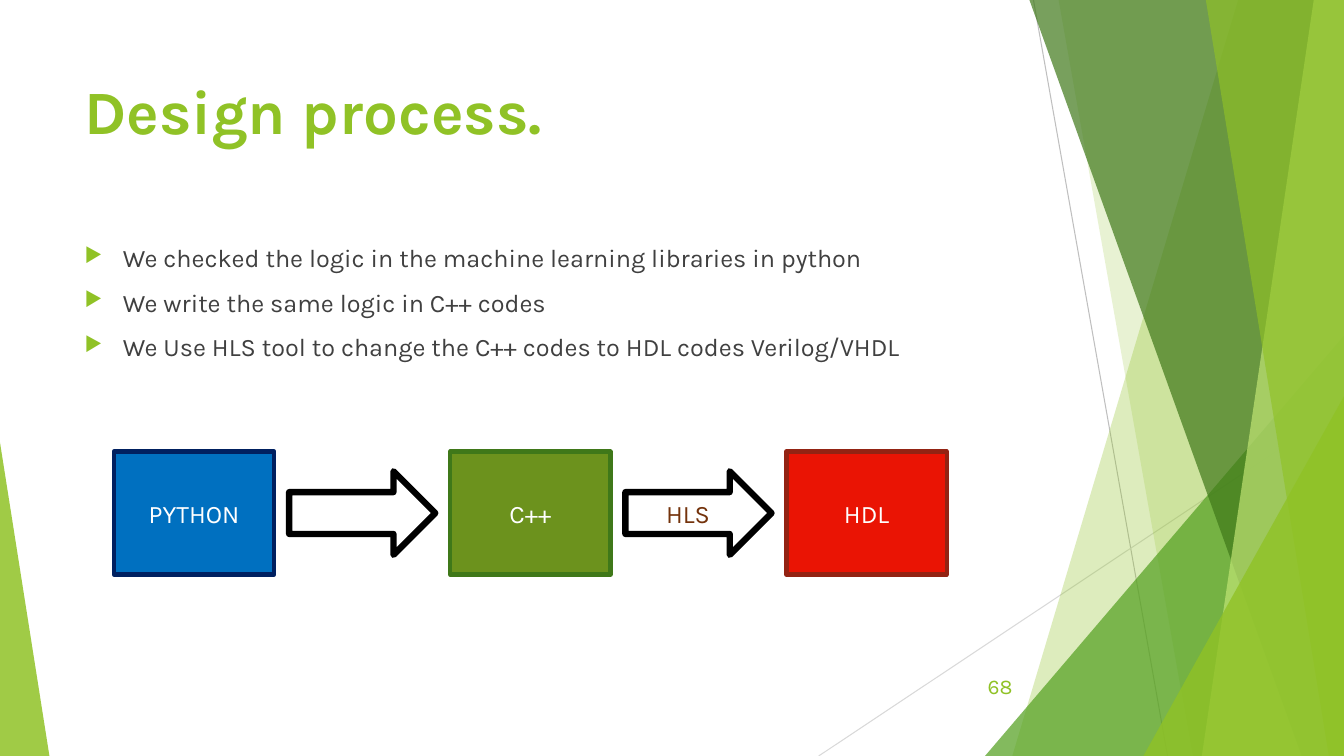
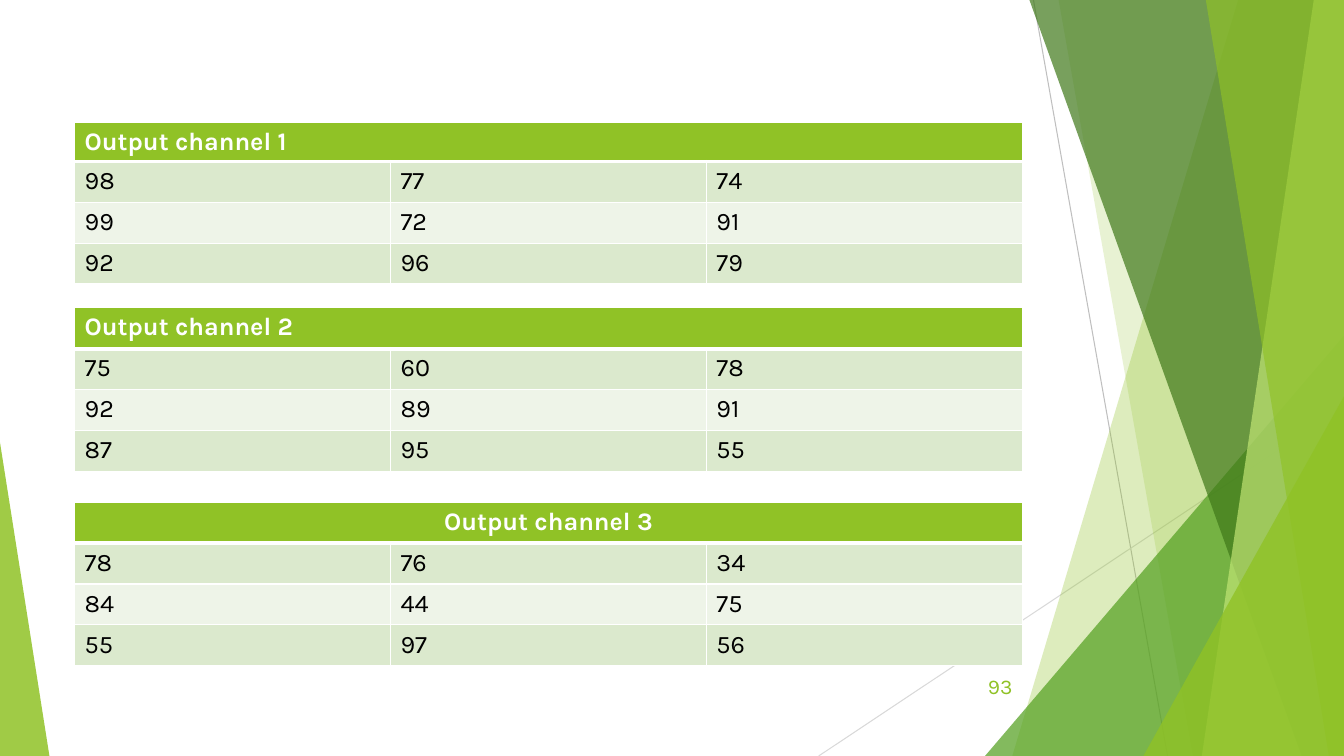
from lxml.etree import SubElement
from pptx import Presentation
from pptx.dml.color import RGBColor
from pptx.enum.shapes import MSO_CONNECTOR, MSO_SHAPE
from pptx.enum.text import MSO_ANCHOR, PP_ALIGN
from pptx.oxml.ns import qn
from pptx.util import Inches, Pt

# Shared look
FONT = "Karla"
GREEN = RGBColor(0x90, 0xC2, 0x26)
MID_GREEN = RGBColor(0x54, 0xA0, 0x21)
DARK_GREEN = RGBColor(0x3F, 0x78, 0x19)
PALE_GREEN = RGBColor(0xC0, 0xE4, 0x74)
OLIVE = RGBColor(0x6C, 0x92, 0x1D)
BLUE = RGBColor(0x00, 0x70, 0xC0)
NAVY = RGBColor(0x00, 0x20, 0x60)
RED = RGBColor(0xEA, 0x14, 0x04)
DARK_RED = RGBColor(0x93, 0x23, 0x13)
BROWN = RGBColor(0x74, 0x33, 0x0C)
BODY_GREY = RGBColor(0x40, 0x40, 0x40)
LINE_GREY = RGBColor(0xBF, 0xBF, 0xBF)
LIGHT_LINE_GREY = RGBColor(0xD9, 0xD9, 0xD9)
BAND_DARK = RGBColor(0xDB, 0xE9, 0xCD)
BAND_LIGHT = RGBColor(0xEE, 0xF4, 0xE8)
WHITE = RGBColor(0xFF, 0xFF, 0xFF)
BLACK = RGBColor(0x00, 0x00, 0x00)

WIDTH, HEIGHT = 13.33, 7.5
LEFT, CONTENT_WIDTH = 0.74, 9.4

TITLE_STYLE = {"size": Pt(44), "bold": True, "color": GREEN}
BODY_STYLE = {"size": Pt(18), "color": BODY_GREY}
NUMBER_STYLE = {"size": Pt(15), "color": GREEN}
BOX_STYLE = {"size": Pt(18), "color": WHITE}
ARROW_STYLE = {"size": Pt(18), "color": BROWN}
HEADER_STYLE = {"size": Pt(18), "bold": True, "color": WHITE}
CELL_STYLE = {"size": Pt(18), "bold": False, "color": BLACK}

# Background: thin lines, then facets from back to front
THIN_LINES = [
    ((10.25, 0), (11.58, HEIGHT), LINE_GREY),
    ((WIDTH, 4.03), (8.12, HEIGHT), LIGHT_LINE_GREY),
]
# A band runs from its slanted left edge (top x, bottom x) to the right edge;
# a triangle has (left, top, width, apex) and stands on the bottom edge.
FACETS = [
    ("band", (12.28, 10.04), GREEN, 30),
    ("band", (10.5, 11.83), GREEN, 20),
    ("triangle", (9.77, 3.33, 3.56, 1), MID_GREEN, 72),
    ("band", (10.21, 12.91), DARK_GREEN, 70),
    ("band", (13.03, 11.92), PALE_GREEN, 70),
    ("band", (11.96, 13.18), GREEN, 65),
    ("triangle", (11.34, 3.93, 1.99, 1), GREEN, 80),
    ("triangle", (0, 4.39, 0.49, 0), GREEN, 85),
]

# Content of the design process slide
TITLE = "Design process."
BULLETS = [
    "We checked the logic in the machine learning libraries in python",
    "We write the same logic in C++ codes",
    "We Use HLS tool to change the C++ codes to HDL codes Verilog/VHDL",
]
STAGES = [("PYTHON", BLUE, NAVY), ("C++", OLIVE, DARK_GREEN), ("HDL", RED, DARK_RED)]
ARROW_LABELS = ["", "HLS"]

# Content of the output slide: heading, alignment, top, header height, values
CHANNELS = [
    ("Output channel 1", PP_ALIGN.LEFT, 1.21, 0.36,
     [(98, 77, 74), (99, 72, 91), (92, 96, 79)]),
    ("Output channel 2", PP_ALIGN.LEFT, 3.05, 0.41,
     [(75, 60, 78), (92, 89, 91), (87, 95, 55)]),
    ("Output channel 3", PP_ALIGN.CENTER, 4.98, 0.41,
     [(78, 76, 34), (84, 44, 75), (55, 97, 56)]),
]


def write(paragraph, text, style, align=PP_ALIGN.LEFT):
    paragraph.text = text
    paragraph.alignment = align
    font = paragraph.font
    font.name = FONT
    for name, value in style.items():
        if name == "color":
            font.color.rgb = value
        else:
            setattr(font, name, value)


def add_text_box(slide, left, top, width, height, anchor=MSO_ANCHOR.TOP):
    box = slide.shapes.add_textbox(*map(Inches, (left, top, width, height)))
    box.text_frame.word_wrap = True
    box.text_frame.vertical_anchor = anchor
    return box.text_frame


def paint(shape, fill, line=None, line_width=0, opacity=100):
    shape.shadow.inherit = False
    shape.fill.solid()
    shape.fill.fore_color.rgb = fill
    if opacity < 100:
        color = shape._element.spPr.find(qn("a:solidFill"))[0]
        SubElement(color, qn("a:alpha"), val=str(opacity * 1000))
    if line is None:
        shape.line.fill.background()
    else:
        shape.line.color.rgb = line
        shape.line.width = Pt(line_width)


def add_band(slide, top_x, bottom_x):
    corners = [(WIDTH, 0), (WIDTH, HEIGHT), (bottom_x, HEIGHT)]
    builder = slide.shapes.build_freeform(Inches(top_x), 0)
    builder.add_line_segments([(Inches(x), Inches(y)) for x, y in corners])
    return builder.convert_to_shape()


def add_triangle(slide, left, top, width, apex):
    triangle = slide.shapes.add_shape(
        MSO_SHAPE.ISOSCELES_TRIANGLE, *map(Inches, (left, top, width, HEIGHT - top)))
    triangle.adjustments[0] = apex
    return triangle


def add_base_slide(presentation):
    slide = presentation.slides.add_slide(presentation.slide_layouts[6])
    for start, end, color in THIN_LINES:
        line = slide.shapes.add_connector(
            MSO_CONNECTOR.STRAIGHT, *map(Inches, start + end))
        line.line.color.rgb = color
        line.line.width = Pt(0.75)
        SubElement(line._element.spPr, qn("a:effectLst"))
    makers = {"band": add_band, "triangle": add_triangle}
    for kind, geometry, color, opacity in FACETS:
        paint(makers[kind](slide, *geometry), color, opacity=opacity)
    return slide


def add_number(slide, number):
    frame = add_text_box(slide, 9.39, 6.61, 0.75, 0.4, MSO_ANCHOR.MIDDLE)
    write(frame.paragraphs[0], number, NUMBER_STYLE, PP_ALIGN.RIGHT)


def add_bullet(paragraph):
    properties = paragraph._p.get_or_add_pPr()
    indent = Inches(0.38)
    properties.set("marL", str(indent))
    properties.set("indent", str(-indent))
    color = SubElement(properties, qn("a:buClr"))
    SubElement(color, qn("a:srgbClr"), val=str(GREEN))
    SubElement(properties, qn("a:buSzPct"), val="80000")
    SubElement(properties, qn("a:buChar"), char="▶")


def add_flow_shape(slide, kind, place, label, style, colors, line_width):
    shape = slide.shapes.add_shape(kind, *map(Inches, place))
    paint(shape, *colors, line_width)
    if label:
        shape.text_frame.vertical_anchor = MSO_ANCHOR.MIDDLE
        write(shape.text_frame.paragraphs[0], label, style, PP_ALIGN.CENTER)


def add_process_slide(presentation):
    slide = add_base_slide(presentation)
    title = add_text_box(slide, LEFT, 0.67, CONTENT_WIDTH, 1.44)
    write(title.paragraphs[0], TITLE, TITLE_STYLE)

    # Bullets
    body = add_text_box(slide, LEFT, 2.36, CONTENT_WIDTH, 1.6)
    for index, text in enumerate(BULLETS):
        paragraph = body.add_paragraph() if index else body.paragraphs[0]
        add_bullet(paragraph)
        write(paragraph, text, BODY_STYLE)
        paragraph.space_before = Pt(10 if index else 0)
    add_number(slide, "68")

    # Flow: boxes at an equal pitch, arrows centred in the gaps
    first, last, top, box_width, box_height = 1.13, 7.8, 4.48, 1.59, 1.22
    arrow_width, arrow_height = 1.45, 0.83
    pitch = (last - first) / (len(STAGES) - 1)
    arrow_offset = box_width + (pitch - box_width - arrow_width) / 2
    arrow_top = top + (box_height - arrow_height) / 2
    for index, (label, fill, line) in enumerate(STAGES):
        left = first + index * pitch
        add_flow_shape(slide, MSO_SHAPE.RECTANGLE, (left, top, box_width, box_height),
                       label, BOX_STYLE, (fill, line), 3)
        if index < len(ARROW_LABELS):
            place = (left + arrow_offset, arrow_top, arrow_width, arrow_height)
            add_flow_shape(slide, MSO_SHAPE.RIGHT_ARROW, place,
                           ARROW_LABELS[index], ARROW_STYLE, (WHITE, BLACK), 4.5)


def format_cell(cell, fill, top_width, bottom_width):
    properties = cell._tc.get_or_add_tcPr()
    widths = {"a:lnL": 1, "a:lnR": 1, "a:lnT": top_width, "a:lnB": bottom_width}
    for tag, width in widths.items():
        border = SubElement(properties, qn(tag), w=str(Pt(width)))
        solid = SubElement(border, qn("a:solidFill"))
        SubElement(solid, qn("a:srgbClr"), val=str(WHITE))
    cell.fill.solid()
    cell.fill.fore_color.rgb = fill


def add_channel_table(slide, heading, align, top, header_height, values):
    columns = len(values[0])
    row_height = Inches(1.62) // 4
    frame = slide.shapes.add_table(
        len(values) + 1, columns, Inches(LEFT), Inches(top),
        Inches(CONTENT_WIDTH), row_height * (len(values) + 1))
    table = frame.table
    table.horz_banding = False
    for row in table.rows:
        row.height = row_height
    table.rows[0].height = Inches(header_height)

    # Header across all columns
    for cell in table.rows[0].cells:
        format_cell(cell, GREEN, 1, 3)
    header = table.cell(0, 0)
    header.merge(table.cell(0, columns - 1))
    write(header.text_frame.paragraphs[0], heading, HEADER_STYLE, align)

    # Banded values
    for row, numbers in enumerate(values, 1):
        for column, number in enumerate(numbers):
            cell = table.cell(row, column)
            format_cell(cell, BAND_DARK if row % 2 else BAND_LIGHT,
                        3 if row == 1 else 1, 1)
            write(cell.text_frame.paragraphs[0], str(number), CELL_STYLE)


def add_output_slide(presentation):
    slide = add_base_slide(presentation)
    for channel in CHANNELS:
        add_channel_table(slide, *channel)
    add_number(slide, "93")


def main():
    presentation = Presentation()
    presentation.slide_width = Inches(WIDTH)
    presentation.slide_height = Inches(HEIGHT)
    add_process_slide(presentation)
    add_output_slide(presentation)
    presentation.save("out.pptx")


if __name__ == "__main__":
    main()
